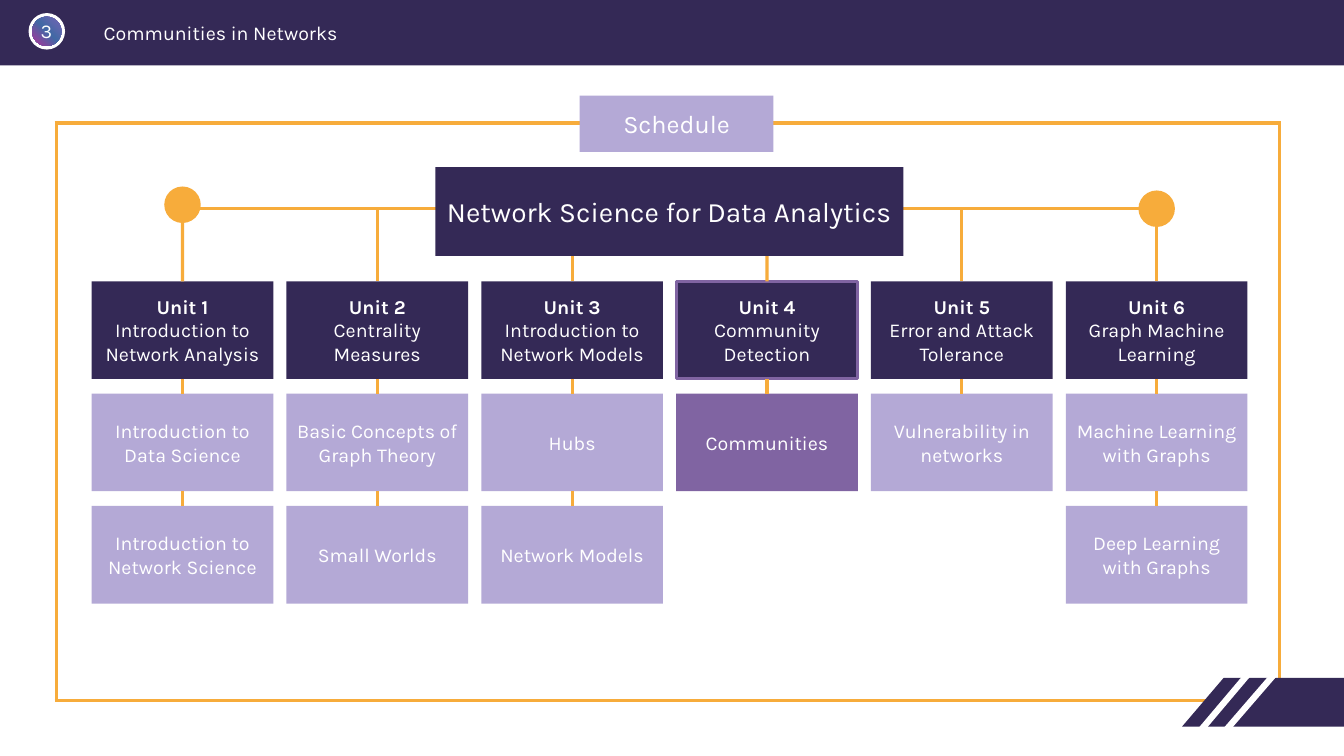
import copy

import pptx
import pptx.dml.color
import pptx.enum.shapes
import pptx.enum.text
import pptx.oxml.ns
import pptx.util
from pptx.util import Cm

COLORS = {
    "navy": "342956",
    "lilac": "B4A9D6",
    "purple": "8064A2",
    "orange": "F7AC3B",
    "white": "FFFFFF",
    "badge_start": "7864B5",
    "badge_middle": "4269A5",
    "badge_end": "B2329A",
}
FONT = "Karla"
SHAPES = pptx.enum.shapes.MSO_SHAPE
TOP, BOTTOM = 0, 2

# Grid of units and topics, in cm
GRID_LEFT, GRID_TOP = 2.31, 7.09
COLUMN_STEP, ROW_STEP = 4.91, 2.83
BOX_WIDTH, BOX_HEIGHT = 4.58, 2.46
BAR_Y = 5.26

# Unit lines, then the topics below it
UNITS = [
    (["Unit 1", "Introduction to Network Analysis"],
     [["Introduction to", "Data Science"], ["Introduction to Network Science"]]),
    (["Unit 2", "Centrality", "Measures"],
     [["Basic Concepts of Graph Theory"], ["Small Worlds"]]),
    (["Unit 3", "Introduction to Network Models"],
     [["Hubs"], ["Network Models"]]),
    (["Unit 4", "Community Detection"], [["Communities"]]),
    (["Unit 5", "Error and Attack Tolerance"], [["Vulnerability in networks"]]),
    (["Unit 6", "Graph Machine Learning"],
     [["Machine Learning with Graphs"], ["Deep Learning with Graphs"]]),
]
CURRENT_UNIT = 3


def rgb(name):
    return pptx.dml.color.RGBColor.from_string(COLORS[name])


def write_text(shape, lines, size=14, align="CENTER", anchor="MIDDLE",
               bold_first=False, inset=None):
    frame = shape.text_frame
    frame.word_wrap = True
    frame.vertical_anchor = getattr(pptx.enum.text.MSO_ANCHOR, anchor)
    if inset is not None:
        frame.margin_left = frame.margin_right = Cm(inset)
        frame.margin_top = frame.margin_bottom = Cm(inset)
    frame.text = "\n".join(lines)
    for number, paragraph in enumerate(frame.paragraphs):
        paragraph.alignment = getattr(pptx.enum.text.PP_ALIGN, align)
        font = paragraph.runs[0].font
        font.name = FONT
        font.size = pptx.util.Pt(size)
        font.bold = bold_first and number == 0
        font.color.rgb = rgb("white")


def paint(shape, fill, outline=None):
    shape.shadow.inherit = False
    shape.fill.solid()
    shape.fill.fore_color.rgb = rgb(fill)
    if outline:
        shape.line.color.rgb = rgb(outline)
        shape.line.width = pptx.util.Pt(2.25)
    else:
        shape.line.fill.background()


def add_box(slide, left, top, width, height, fill, outline=None, lines=None, **text_format):
    box = slide.shapes.add_shape(
        SHAPES.RECTANGLE, Cm(left), Cm(top), Cm(width), Cm(height))
    paint(box, fill, outline)
    if lines:
        write_text(box, lines, **text_format)
    return box


def add_circle(slide, center_x, center_y, diameter, fill):
    circle = slide.shapes.add_shape(
        SHAPES.OVAL, Cm(center_x - diameter / 2), Cm(center_y - diameter / 2),
        Cm(diameter), Cm(diameter))
    paint(circle, fill)
    return circle


def add_label(slide, left, top, width, height, lines, **text_format):
    label = slide.shapes.add_textbox(Cm(left), Cm(top), Cm(width), Cm(height))
    write_text(label, lines, **text_format)


def add_line(slide, x1, y1, x2, y2, color="orange", weight=2.25):
    line = slide.shapes.add_connector(
        pptx.enum.shapes.MSO_CONNECTOR.STRAIGHT, Cm(x1), Cm(y1), Cm(x2), Cm(y2))
    line.line.color.rgb = rgb(color)
    line.line.width = pptx.util.Pt(weight)
    effects = pptx.oxml.parse_xml(
        "<a:effectLst %s/>" % pptx.oxml.ns.nsdecls("a"))
    line._element.spPr.append(effects)
    return line


def add_header(slide):
    add_box(slide, 0, 0, 33.87, 1.65, "navy")
    add_circle(slide, 1.18, 0.79, 0.92, "white")
    badge = add_circle(slide, 1.18, 0.79, 0.74, "badge_start")
    badge.fill.gradient()
    badge.fill.gradient_angle = 225
    stop_list = badge._element.spPr.find(".//" + pptx.oxml.ns.qn("a:gsLst"))
    stop_list.insert(1, copy.deepcopy(stop_list[0]))
    stops = zip(badge.fill.gradient_stops, (0, 0.49, 1),
                ("badge_start", "badge_middle", "badge_end"))
    for stop, position, color in stops:
        stop.position = position
        stop.color.rgb = rgb(color)
    add_label(slide, 0.71, 0.48, 0.92, 0.6, ["3"], inset=0, anchor="TOP")
    add_label(slide, 2.36, 0.41, 14.25, 0.76, ["Communities in Networks"],
              align="LEFT", anchor="TOP")


def add_frame(slide):
    left, top, right, bottom = 1.42, 3.1, 32.25, 17.65
    add_line(slide, right, 17.08, right, top)
    add_line(slide, left, bottom, left, top - 0.04)
    add_line(slide, left - 0.04, bottom, 30.73, bottom)

    # Striped corner
    corner = slide.shapes.build_freeform(Cm(30.84), Cm(17.08))
    corner.add_line_segments([(Cm(33.87), Cm(17.08)), (Cm(33.87), Cm(18.31)),
                              (Cm(29.79), Cm(18.31))], close=True)
    paint(corner.convert_to_shape(), "navy")
    add_line(slide, 30.1, 18.59, 31.62, 16.79, "white", 4.5)
    add_line(slide, 30.73, 18.59, 32.13, 16.97, "white", 4.5)

    add_line(slide, left - 0.04, top, right + 0.04, top)
    add_box(slide, 14.61, 2.41, 4.88, 1.42, "lilac", lines=["Schedule"], size=18)


def add_unit(slide, column, heading, topics):
    left = GRID_LEFT + column * COLUMN_STEP
    center = left + BOX_WIDTH / 2
    current = column == CURRENT_UNIT
    above = add_box(slide, left, GRID_TOP, BOX_WIDTH, BOX_HEIGHT, "navy",
                    "purple" if current else None, lines=heading, bold_first=True)
    drop = add_line(slide, center, BAR_Y, center, GRID_TOP)
    drop.end_connect(above, TOP)
    for row, topic in enumerate(topics, start=1):
        top = GRID_TOP + row * ROW_STEP
        box = add_box(slide, left, top, BOX_WIDTH, BOX_HEIGHT,
                      "purple" if current else "lilac", lines=topic)
        link = add_line(slide, center, top - ROW_STEP + BOX_HEIGHT, center, top)
        link.begin_connect(above, BOTTOM)
        link.end_connect(box, TOP)
        above = box


def main():
    deck = pptx.Presentation()
    deck.slide_width, deck.slide_height = Cm(33.87), Cm(19.05)
    slide = deck.slides.add_slide(deck.slide_layouts[6])

    add_header(slide)
    add_frame(slide)

    # Course tree
    first_center = GRID_LEFT + BOX_WIDTH / 2
    last_center = first_center + (len(UNITS) - 1) * COLUMN_STEP
    add_line(slide, first_center, BAR_Y, last_center, BAR_Y)
    for column, (heading, topics) in enumerate(UNITS):
        add_unit(slide, column, heading, topics)
    add_circle(slide, first_center, 5.16, 0.92, "orange")
    add_circle(slide, last_center, BAR_Y, 0.92, "orange")
    add_box(slide, 10.97, 4.21, 11.8, 2.24, "navy",
            lines=["Network Science for Data Analytics"], size=20)

    deck.save("out.pptx")


if __name__ == "__main__":
    main()
